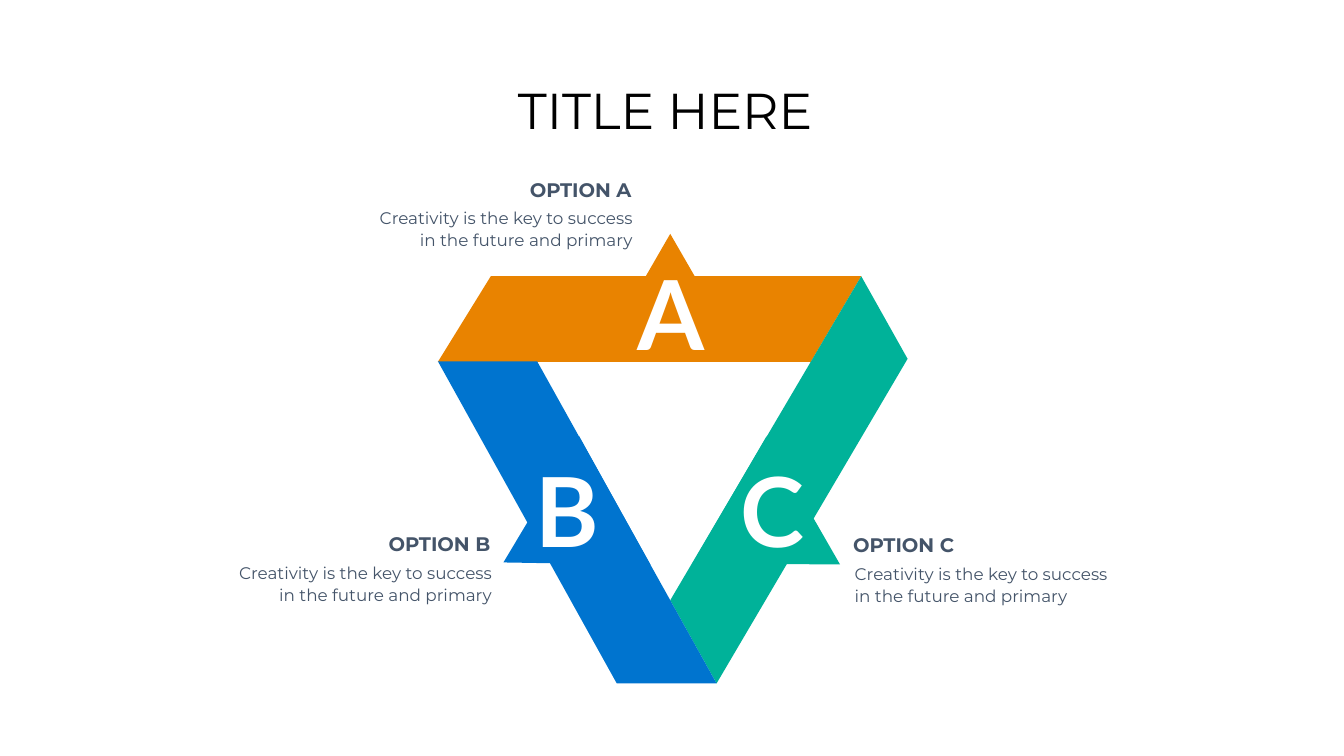
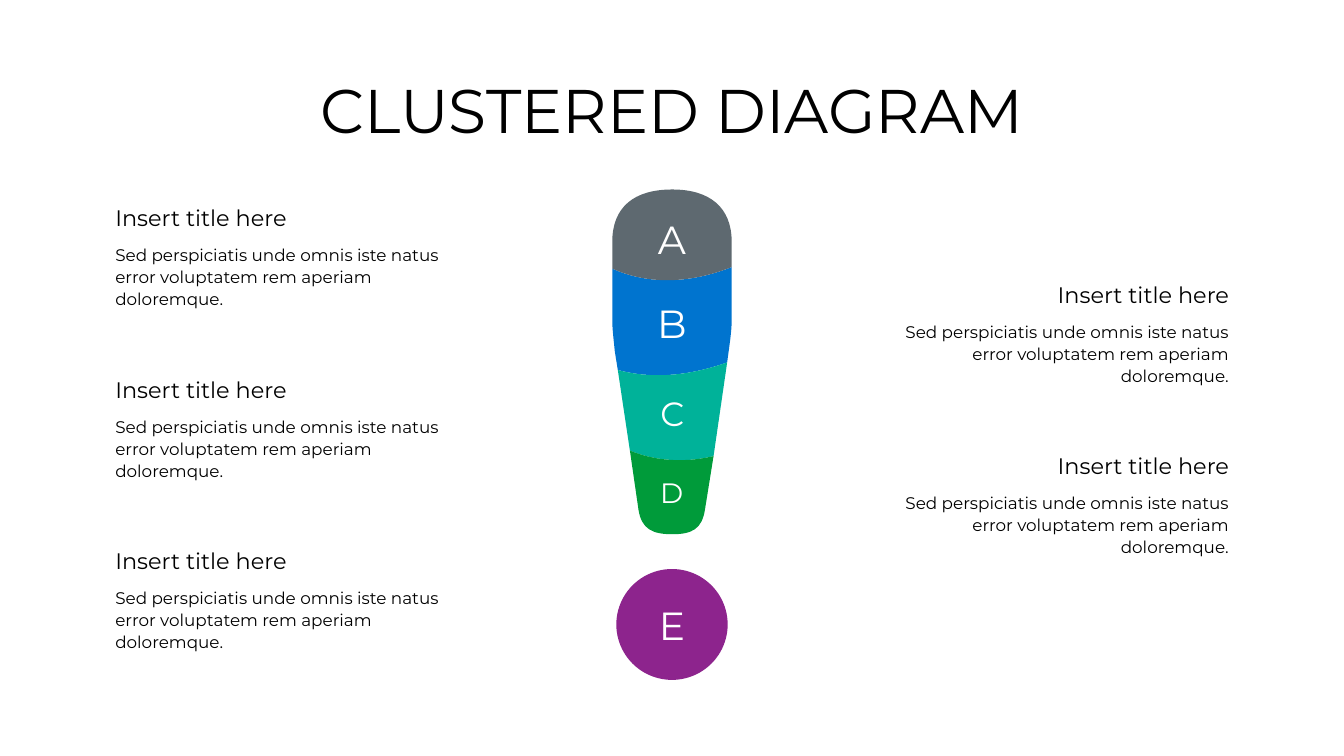
from itertools import islice

from lxml.etree import SubElement
from pptx import Presentation
from pptx.dml.color import RGBColor
from pptx.enum.shapes import MSO_SHAPE
from pptx.enum.text import MSO_ANCHOR, MSO_AUTO_SIZE, PP_ALIGN
from pptx.oxml.ns import qn
from pptx.util import Emu, Pt

# Lengths are px, 100 to the inch
EMU_PER_PX = 9144
SLIDE_WIDTH, SLIDE_HEIGHT = 2667, 1500
BLANK_LAYOUT = 6

BLACK = RGBColor(0x00, 0x00, 0x00)
WHITE = RGBColor(0xFF, 0xFF, 0xFF)
SLATE = RGBColor(0x44, 0x54, 0x69)
ORANGE = RGBColor(0xE9, 0x83, 0x00)
TEAL = RGBColor(0x00, 0xB2, 0x99)
BLUE = RGBColor(0x00, 0x74, 0xCF)
GREY = RGBColor(0x5E, 0x69, 0x70)
GREEN = RGBColor(0x00, 0x9B, 0x3A)
PURPLE = RGBColor(0x8D, 0x24, 0x8D)

BODY_FONT = "Montserrat"
LETTER_FONT = "Lato"
LEFT, CENTER, RIGHT = PP_ALIGN.LEFT, PP_ALIGN.CENTER, PP_ALIGN.RIGHT

OPTION_TEXT = "Creativity is the key to success in the future and primary"
NOTE_TITLE = "Insert title here"
NOTE_TEXT = ("Sed perspiciatis unde omnis iste natus error voluptatem "
             "rem aperiam doloremque.")


def px(length):
    return Emu(length * EMU_PER_PX)


# Text
def style_text(frame, text, size, color, align, font=BODY_FONT, bold=False,
               spacing=None):
    paragraph = frame.paragraphs[0]
    paragraph.text = text
    paragraph.alignment = align
    if spacing:
        paragraph.line_spacing = spacing
    paragraph.font.name = font
    paragraph.font.size = Pt(size)
    paragraph.font.bold = bold
    paragraph.font.color.rgb = color


def set_insets(frame, side, top):
    frame.margin_left = frame.margin_right = px(side)
    frame.margin_top = frame.margin_bottom = px(top)


def add_text(slide, box, text, size, color, align, wrap=False, inset=10,
             grow=True, **style):
    frame = slide.shapes.add_textbox(*map(px, box)).text_frame
    frame.word_wrap = wrap
    if grow:
        frame.auto_size = MSO_AUTO_SIZE.SHAPE_TO_FIT_TEXT
    set_insets(frame, inset, inset // 2)
    style_text(frame, text, size, color, align, **style)
    return frame


def add_title(slide, text, size):
    frame = add_text(slide, (183, 80, 2300, 290), text, size, BLACK, CENTER,
                     wrap=True, grow=False, spacing=0.9)
    frame.vertical_anchor = MSO_ANCHOR.MIDDLE


# Shapes
def paint(shape, color):
    shape.shadow.inherit = False
    shape.fill.solid()
    shape.fill.fore_color.rgb = color
    shape.line.fill.background()


def add_outline(slide, points, color):
    builder = slide.shapes.build_freeform(*points[0], scale=EMU_PER_PX)
    builder.add_line_segments(points[1:], close=True)
    shape = builder.convert_to_shape()
    paint(shape, color)
    return shape


def add_curved_outline(slide, curves, color):
    """Draw Bezier curves of four points, with straight lines between them."""
    points, straight_before = [], []
    for curve in curves:
        gap = bool(points) and points[-1] != curve[0]
        straight_before.append(gap)
        points += curve if gap or not points else curve[1:]
    shape = add_outline(slide, points, color)

    # Turn each run of three line segments into one curve
    outline = next(shape.element.iter(qn("a:path")))
    segments = iter(outline.findall(qn("a:lnTo")))
    for gap in straight_before:
        if gap:
            next(segments)
        bezier = SubElement(outline, qn("a:cubicBezTo"))
        for index, segment in enumerate(islice(segments, 3)):
            if index == 0:
                segment.addprevious(bezier)
            bezier.append(segment[0])
            outline.remove(segment)
    return shape


def label_shape(shape, letter, size):
    frame = shape.text_frame
    set_insets(frame, 0, 0)
    frame.vertical_anchor = MSO_ANCHOR.MIDDLE
    style_text(frame, letter, size, WHITE, CENTER)


# Slide 1: triangle of three folded ribbons
def add_ribbon(slide, color, band, pointer):
    parts = [add_outline(slide, points, color) for points in (band, pointer)]
    slide.shapes.add_group_shape(parts)


def add_ribbon_letter(slide, letter, left, top):
    add_text(slide, (left, top, 169, 252), letter, 138, WHITE, CENTER,
             inset=20, font=LETTER_FONT, bold=True)


def add_option(slide, letter, heading_at, body_at, align):
    add_text(slide, (*body_at, 560 if align == RIGHT else 574, 110),
             OPTION_TEXT, 24, SLATE, align, wrap=True, inset=24, spacing=1.1)
    add_text(slide, (*heading_at, 247, 67), f"OPTION {letter}", 28, SLATE,
             align, inset=20, bold=True)


def build_triangle_slide(slide):
    add_ribbon(slide, ORANGE,
               [(1709, 548), (974, 548), (869, 718), (1609, 718)],
               [(1184, 717), (1330, 464), (1476, 717)])
    add_ribbon(slide, TEAL,
               [(1422, 1356), (1330, 1191), (1709, 548), (1801, 712)],
               [(1521, 866), (1667, 1120), (1374, 1118)])
    add_ribbon(slide, BLUE,
               [(869, 717), (1066, 717), (1422, 1356), (1224, 1356)],
               [(1149, 865), (1291, 1121), (999, 1116)])

    for letter, left, top in (("A", 1246, 493), ("B", 1041, 885),
                              ("C", 1448, 885)):
        add_ribbon_letter(slide, letter, left, top)

    add_option(slide, "A", (1026, 343), (719, 396), RIGHT)
    add_option(slide, "B", (746, 1046), (440, 1101), RIGHT)
    add_option(slide, "C", (1673, 1047), (1672, 1102), LEFT)
    add_title(slide, "TITLE HERE ", 72)


# Slide 2: exclamation mark of stacked segments
def exclamation_segments():
    # Seams run from left to right
    seam_ab = [(1215, 533), (1270, 558), (1350, 570), (1452, 530)]
    seam_bc = [(1226, 734), (1281, 749), (1353, 751), (1443, 719)]
    seam_cd = [(1250, 894), (1291, 911), (1348, 921), (1416, 905)]
    cap_right = [(1452, 480), (1452, 411), (1408, 376), (1334, 376)]
    cap_left = [(1334, 376), (1258, 376), (1215, 411), (1215, 480)]
    right_flank = [(1452, 634), (1452, 654), (1449, 675), (1446, 697)]
    left_flank = [(1220, 697), (1218, 675), (1215, 654), (1215, 634)]
    tip_right = [(1399, 1011), (1393, 1050), (1373, 1060), (1334, 1060)]
    tip_left = [(1334, 1060), (1295, 1060), (1273, 1050), (1267, 1011)]
    return (
        ("B", BLUE, 56, [seam_ab, right_flank, seam_bc[::-1], left_flank]),
        ("A", GREY, 56, [cap_right, cap_left, seam_ab]),
        ("C", TEAL, 48, [seam_bc, seam_cd[::-1]]),
        ("D", GREEN, 40, [seam_cd, tip_right, tip_left]),
    )


def add_note(slide, title_at, body_at, align):
    add_text(slide, (*title_at, 363, 64), NOTE_TITLE, 32, BLACK, align)
    add_text(slide, (*body_at, 727, 140), NOTE_TEXT, 24, BLACK, align,
             wrap=True, spacing=1.1)


def build_exclamation_slide(slide):
    dot = slide.shapes.add_shape(MSO_SHAPE.OVAL,
                                 *map(px, (1223, 1129, 221, 220)))
    paint(dot, PURPLE)
    label_shape(dot, "E", 56)
    for letter, color, size, curves in exclamation_segments():
        label_shape(add_curved_outline(slide, curves, color), letter, size)

    for top in (400, 741, 1081):
        add_note(slide, (219, top), (219, top + 76), LEFT)
    for top in (552, 892):
        add_note(slide, (2086, top), (1721, top + 77), RIGHT)
    add_title(slide, "CLUSTERED DIAGRAM", 88)


def main():
    deck = Presentation()
    deck.slide_width, deck.slide_height = px(SLIDE_WIDTH), px(SLIDE_HEIGHT)
    for build in (build_triangle_slide, build_exclamation_slide):
        build(deck.slides.add_slide(deck.slide_layouts[BLANK_LAYOUT]))
    deck.save("out.pptx")


if __name__ == "__main__":
    main()
